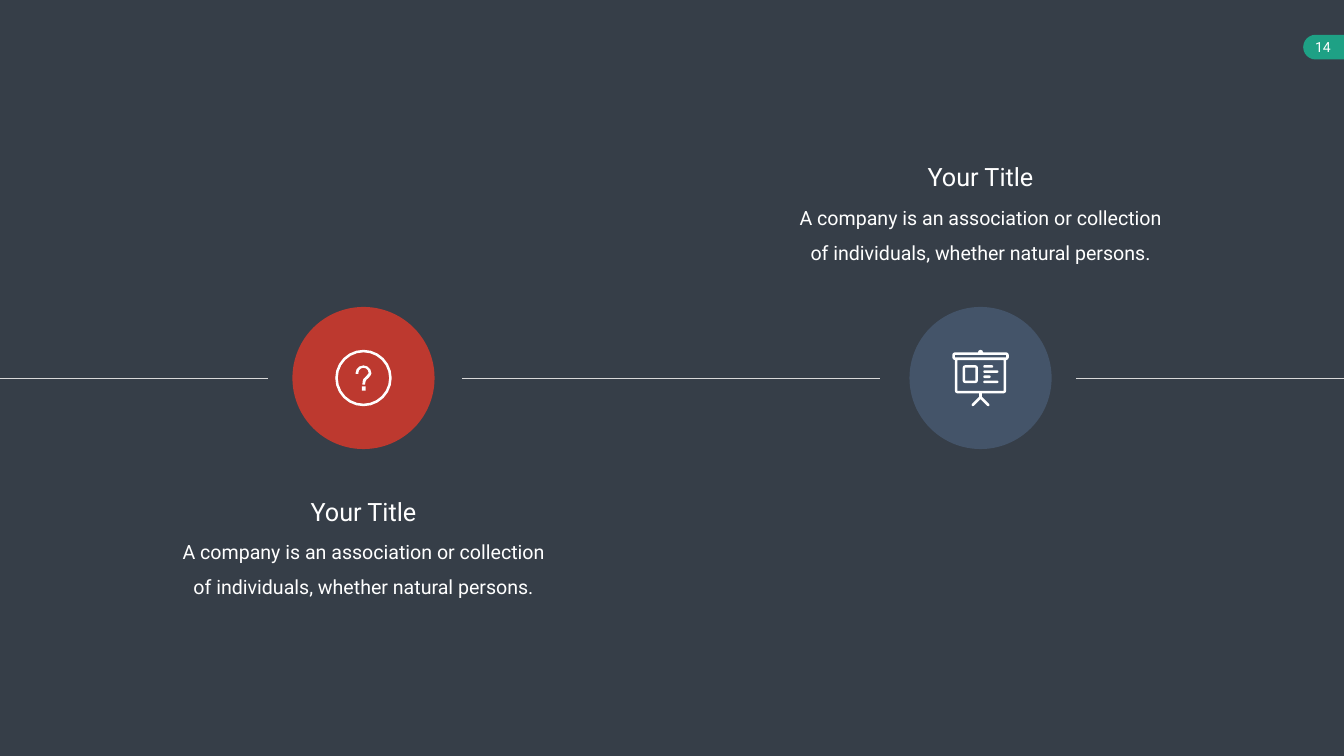
from math import cos, radians, sin

from lxml import etree
from pptx import Presentation
from pptx.dml.color import RGBColor
from pptx.enum.shapes import MSO_CONNECTOR, MSO_SHAPE
from pptx.enum.text import MSO_AUTO_SIZE, PP_ALIGN
from pptx.oxml.ns import qn
from pptx.util import Pt

LINE = MSO_CONNECTOR.STRAIGHT
OVAL = MSO_SHAPE.OVAL
RECT = MSO_SHAPE.RECTANGLE
DELAY = MSO_SHAPE.FLOWCHART_DELAY
CENTER = PP_ALIGN.CENTER
GROW = MSO_AUTO_SIZE.SHAPE_TO_FIT_TEXT

DARK = RGBColor(0x36, 0x3E, 0x48)
GREEN = RGBColor(0x1E, 0xA1, 0x85)
RED = RGBColor(0xBD, 0x39, 0x2F)
BLUE = RGBColor(0x44, 0x54, 0x69)
GRAY = RGBColor(0xD9, 0xD9, 0xD9)
WHITE = RGBColor(0xFF, 0xFF, 0xFF)

WIDE, HIGH = 1919.52, 1080
MID = HIGH / 2
DISC = 203.04
ICON = 80.64
UNIT = ICON / 22  # icons are drawn on a grid of 22 units
BODY = ("A company is an association or collection "
        "of individuals, whether natural persons.")


def add_text(shapes, text, left, top, width, height, size=28,
             spacing=None, wrap=True, inset=(7.2, 3.6)):
    box = shapes.add_textbox(Pt(left), Pt(top), Pt(width), Pt(height))
    frame = box.text_frame
    frame.word_wrap = wrap
    frame.auto_size = GROW
    frame.margin_left = frame.margin_right = Pt(inset[0])
    frame.margin_top = frame.margin_bottom = Pt(inset[1])
    para = frame.paragraphs[0]
    para.alignment = CENTER
    para.line_spacing = spacing
    run = para.add_run()
    run.text = text
    run.font.name = "Roboto"
    run.font.size = Pt(size)
    run.font.color.rgb = WHITE


def paint(shape, color):
    shape.shadow.inherit = False
    shape.fill.solid()
    shape.fill.fore_color.rgb = color
    shape.line.fill.background()


def add_shape(shapes, kind, left, top, width, height, color):
    shape = shapes.add_shape(kind, Pt(left), Pt(top), Pt(width), Pt(height))
    paint(shape, color)
    return shape


def add_line(shapes, start, end):
    line = shapes.add_connector(LINE, Pt(start), Pt(MID), Pt(end), Pt(MID))
    line.line.color.rgb = GRAY
    line.line.width = Pt(0.5)
    etree.SubElement(line._element.spPr, qn("a:effectLst"))


def arc(x, y, radius, start, stop, step=45):
    """Points along an arc; angles run clockwise from the right."""
    count = round(abs(stop - start) / step)
    turns = [radians(start + (stop - start) * i / count)
             for i in range(count + 1)]
    return [(x + radius * cos(t), y + radius * sin(t)) for t in turns]


def box(left, top, right, bottom):
    return [(left, top), (right, top), (right, bottom), (left, bottom)]


def bar(left, top, right, bottom):
    """A thin box with round ends."""
    radius = (bottom - top) / 2
    y = top + radius
    return (arc(left + radius, y, radius, 90, 270, 60)
            + arc(right - radius, y, radius, -90, 90, 60))


def panel():
    """A box with round corners."""
    return (arc(5, 7, 1, 180, 270) + arc(9, 7, 1, 270, 360)
            + arc(9, 12, 1, 0, 90) + arc(5, 12, 1, 90, 180))


def query_icon():
    """A question mark in a ring."""
    tail = [(13.75, 10), (12.95, 11), (12.2, 11.6), (11.8, 12.4),
            (11.6, 13.55), (10.6, 13.55), (10.65, 12.4), (10.95, 11.4),
            (11.6, 10.8), (12.3, 10), (12.8, 9.5)]
    hook = arc(11, 9.2, 3.1, 180, 360, 30) + tail
    hook += arc(11, 9, 2, 360, 180, 30) + [(9, 9.4), (7.9, 9.4)]
    rings = [arc(11, 11, radius, 0, 345, 15) for radius in (11, 10)]
    return rings + [hook, box(10.4, 14.3, 11.8, 15.9)]


def board_icon():
    """A presentation board on a stand."""
    right = (arc(11, 1, 1, 270, 360) + arc(21, 2, 1, 270, 360)
             + arc(21, 3, 1, 0, 90) + arc(20, 16, 1, 0, 90)
             + [(11.5, 17), (11.5, 18.3)] + arc(14, 21.5, 0.5, -45, 135, 60))
    left = [(22 - x, y) for x, y in reversed(right)]
    frame = right + [(11, 19.25)] + left
    rows = [bar(12, y, end, y + 1)
            for y, end in ((6, 16), (8, 18), (10, 15), (12, 18))]
    return [frame, box(1, 2, 21, 3), box(2, 4, 20, 16),
            panel(), box(5, 7, 9, 12)] + rows


def add_icon(shapes, center, outlines):
    left, top = center - ICON / 2, MID - ICON / 2
    paths = [[(Pt(left + x * UNIT), Pt(top + y * UNIT)) for x, y in path]
             for path in outlines]
    pen = shapes.build_freeform(*paths[0][0])
    for index, path in enumerate(paths):
        if index:
            pen.move_to(*path[0])
        pen.add_line_segments(path[1:], close=True)
    paint(pen.convert_to_shape(), WHITE)


def add_step(shapes, center, top, color):
    group = shapes.add_group_shape().shapes
    add_text(group, BODY, center - 266, top + 46.08, 532, 103, spacing=1.5)
    add_text(group, "Your Title", center - 85.68, top, 171.36, 51.12,
             size=36, wrap=False)
    add_shape(shapes, OVAL, center - DISC / 2, MID - DISC / 2,
              DISC, DISC, color)


def add_tag(shapes):
    """Page number at the right edge."""
    group = shapes.add_group_shape().shapes
    cap = add_shape(group, DELAY, 1861.2, 49.68, 35.28, 35.28, GREEN)
    cap.rotation = 180
    add_shape(group, RECT, 1896.48, 49.68, WIDE - 1896.48, 35.28, GREEN)
    add_text(shapes, "14", 1860.6, 48.24, 57.6, 38.88, size=20,
             wrap=False, inset=(14.4, 7.2))


def main():
    deck = Presentation()
    deck.slide_width, deck.slide_height = Pt(WIDE), Pt(HIGH)
    slide = deck.slides.add_slide(deck.slide_layouts[6])
    slide.background.fill.solid()
    slide.background.fill.fore_color.rgb = DARK
    shapes = slide.shapes
    first, second = 519.12, 1400.4
    add_tag(shapes)
    add_step(shapes, first, 704.88, RED)
    add_line(shapes, 659.52, 1257.12)
    add_line(shapes, 0, 383.04)
    add_step(shapes, second, 227.52, BLUE)
    add_line(shapes, 1536.48, WIDE)
    add_icon(shapes, first, query_icon())
    add_icon(shapes, second, board_icon())
    deck.save("out.pptx")


if __name__ == "__main__":
    main()
